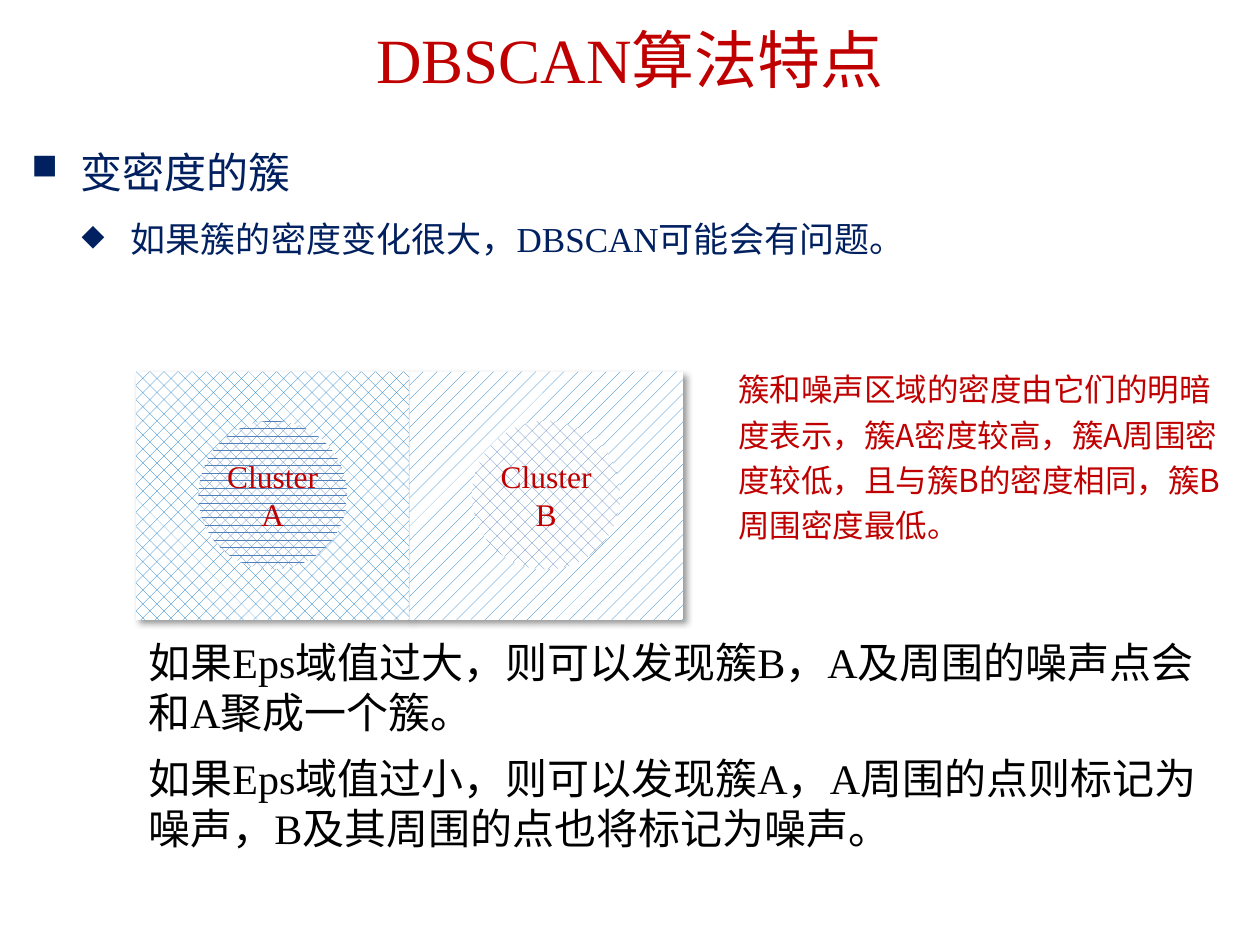
import pptx
import pptx.util
import pptx.oxml.ns
import pptx.dml.color
import pptx.enum.dml
import pptx.enum.shapes
import pptx.enum.text
import lxml.etree

WIDE, HIGH = 10, 7.5
HUE = {"red": "C00000", "navy": "002060", "black": "000000",
       "white": "FFFFFF", "sky": "0070C0", "steel": "4F81BD"}
SERIF, SANS = "Times New Roman", "Noto Sans CJK SC"
MID = pptx.enum.text.MSO_ANCHOR.MIDDLE
MIDDLE = pptx.enum.text.PP_ALIGN.CENTER
FORM = pptx.enum.shapes.MSO_SHAPE
DOTS = pptx.enum.dml.MSO_PATTERN


def color(name):
    return pptx.dml.color.RGBColor.from_string(HUE[name])


def place(x, y, w, h):
    sides = (x * WIDE, y * HIGH, w * WIDE, h * HIGH)
    return [pptx.util.Inches(side / 100) for side in sides]


def node(parent, tag, **attrs):
    return lxml.etree.SubElement(parent, pptx.oxml.ns.qn(tag),
                                 {key: str(val) for key, val in attrs.items()})


def write(para, text, size=18, face=SERIF, hue="red", align=None,
          lead=None, before=None, mark=None, indent=0):
    if mark:
        props = para._p.get_or_add_pPr()
        props.set("marL", str(pptx.util.Inches(indent)))
        props.set("indent", str(pptx.util.Inches(-0.39)))
        node(props, "a:buSzPct", val=85000)
        node(props, "a:buChar", char=mark)
    para.alignment = align
    para.line_spacing = lead
    if before:
        para.space_before = pptx.util.Pt(before)
    run = para.add_run()
    run.text = text
    run.font.size = pptx.util.Pt(size)
    run.font.name = face
    run.font.color.rgb = color(hue)
    node(run._r.get_or_add_rPr(), "a:ea", typeface=SANS)


def frame(shape, anchor=None, side=0.1, top=0.05):
    body = shape.text_frame
    body.word_wrap = True
    body.vertical_anchor = anchor
    body.margin_left = body.margin_right = pptx.util.Inches(side)
    body.margin_top = pptx.util.Inches(top)
    return body


def label(slide, spot, text, anchor=None, top=0.05, **style):
    body = frame(slide.shapes.add_textbox(*place(*spot)), anchor, top=top)
    write(body.paragraphs[0], text, **style)
    return body


def patch(slide, form, spot, dots, hue):
    shape = slide.shapes.add_shape(form, *place(*spot))
    shape.shadow.inherit = False
    shape.line.fill.background()
    shape.fill.patterned()
    shape.fill.pattern = dots
    shape.fill.fore_color.rgb = color(hue)
    shape.fill.back_color.rgb = color("white")
    return shape


def shade(shape):
    effect = shape._element.spPr.find(pptx.oxml.ns.qn("a:effectLst"))
    cast = node(effect, "a:outerShdw", blurRad=pptx.util.Pt(4),
                dist=pptx.util.Pt(3), dir=45 * 60000, algn="tl", rotWithShape=0)
    node(node(cast, "a:srgbClr", val=HUE["black"]), "a:alpha", val=40000)


def region(slide, col, dots):
    wide, high = 21.7, 26.27
    shade(patch(slide, FORM.RECTANGLE,
                (10.8 + col * wide, 39.33, wide, high), dots, "sky"))


def cluster(slide, col, dots, name):
    wide, high = 11.8, 15.73
    spot = (10.8 + (col + 0.5) * 21.7 - wide / 2, 44.53, wide, high)
    body = frame(patch(slide, FORM.OVAL, spot, dots, "steel"), MID, side=0)
    write(body.paragraphs[0], name, align=MIDDLE)


def main():
    deck = pptx.Presentation()
    deck.slide_width = pptx.util.Inches(WIDE)
    deck.slide_height = pptx.util.Inches(HIGH)
    slide = deck.slides.add_slide(deck.slide_layouts[6])

    label(slide, (0, 0, 100, 11.87), "DBSCAN算法特点", anchor=MID, top=0.16,
          size=36, align=MIDDLE, lead=0.9)
    body = label(slide, (1.5, 13.2, 97.2, 82.27), "变密度的簇", size=24,
                 hue="navy", lead=1.3, mark="■", indent=0.39)
    point = body.add_paragraph()
    point.level = 1
    write(point, "如果簇的密度变化很大，DBSCAN可能会有问题。", size=20,
          hue="navy", lead=1.3, before=5, mark="◆", indent=0.79)

    for col, dots in enumerate((DOTS.PERCENT_25, DOTS.PERCENT_10)):
        region(slide, col, dots)
    cluster(slide, 1, DOTS.PERCENT_25, "Cluster B")
    cluster(slide, 0, DOTS.PERCENT_60, "Cluster A")

    label(slide, (57.6, 37.73, 40.7, 20.8),
          "簇和噪声区域的密度由它们的明暗度表示，簇A密度较高，簇A周围密度较低，"
          "且与簇B的密度相同，簇B周围密度最低。", face=SANS, lead=1.2)
    notes = ("如果Eps域值过大，则可以发现簇B，A及周围的噪声点会和A聚成一个簇。",
             "如果Eps域值过小，则可以发现簇A，A周围的点则标记为噪声，"
             "B及其周围的点也将标记为噪声。")
    for row, text in enumerate(notes):
        label(slide, (10.8, 66.67 + row * 12.27, 87.5, 12.13), text,
              size=24, hue="black")

    deck.save("out.pptx")


if __name__ == "__main__":
    main()
